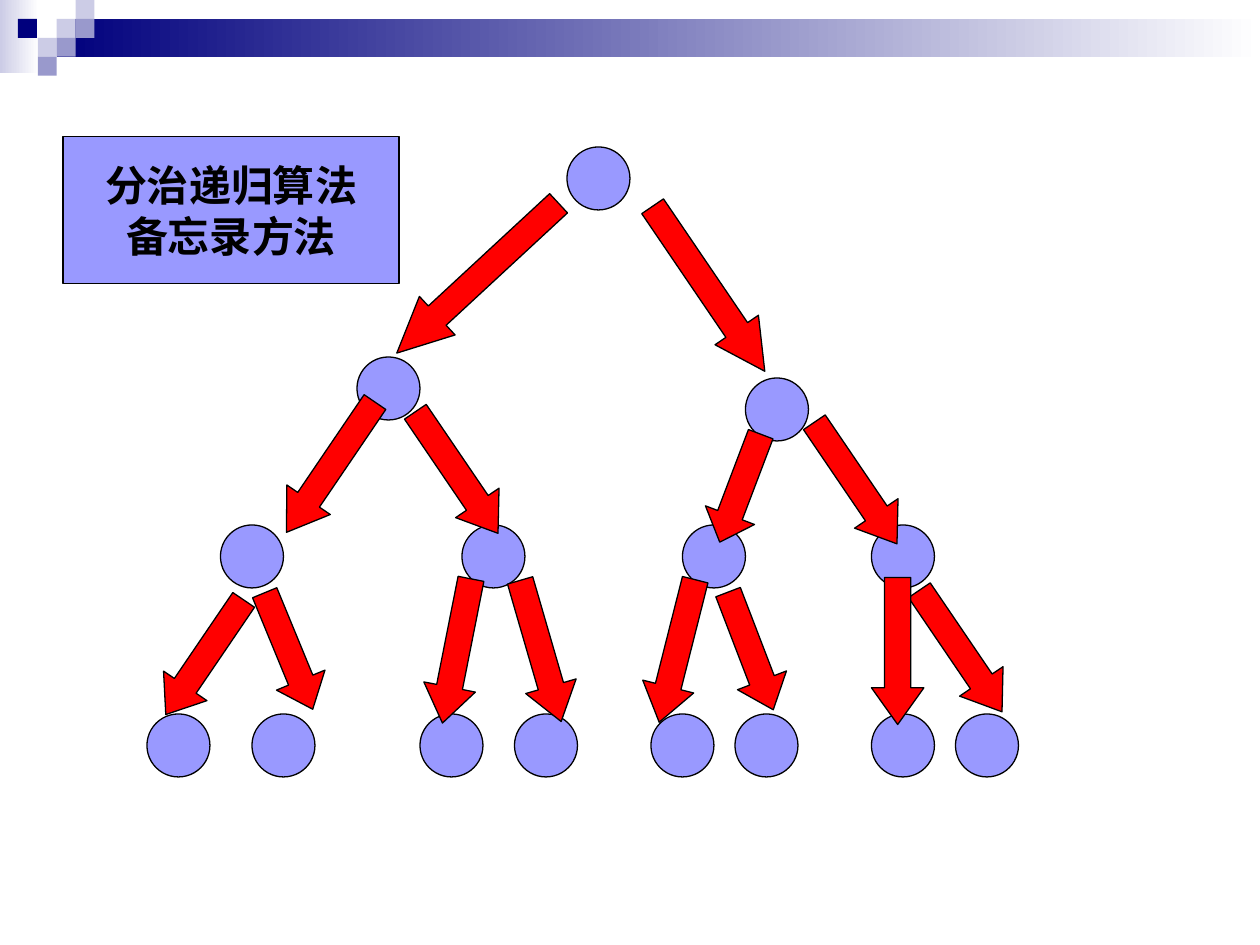
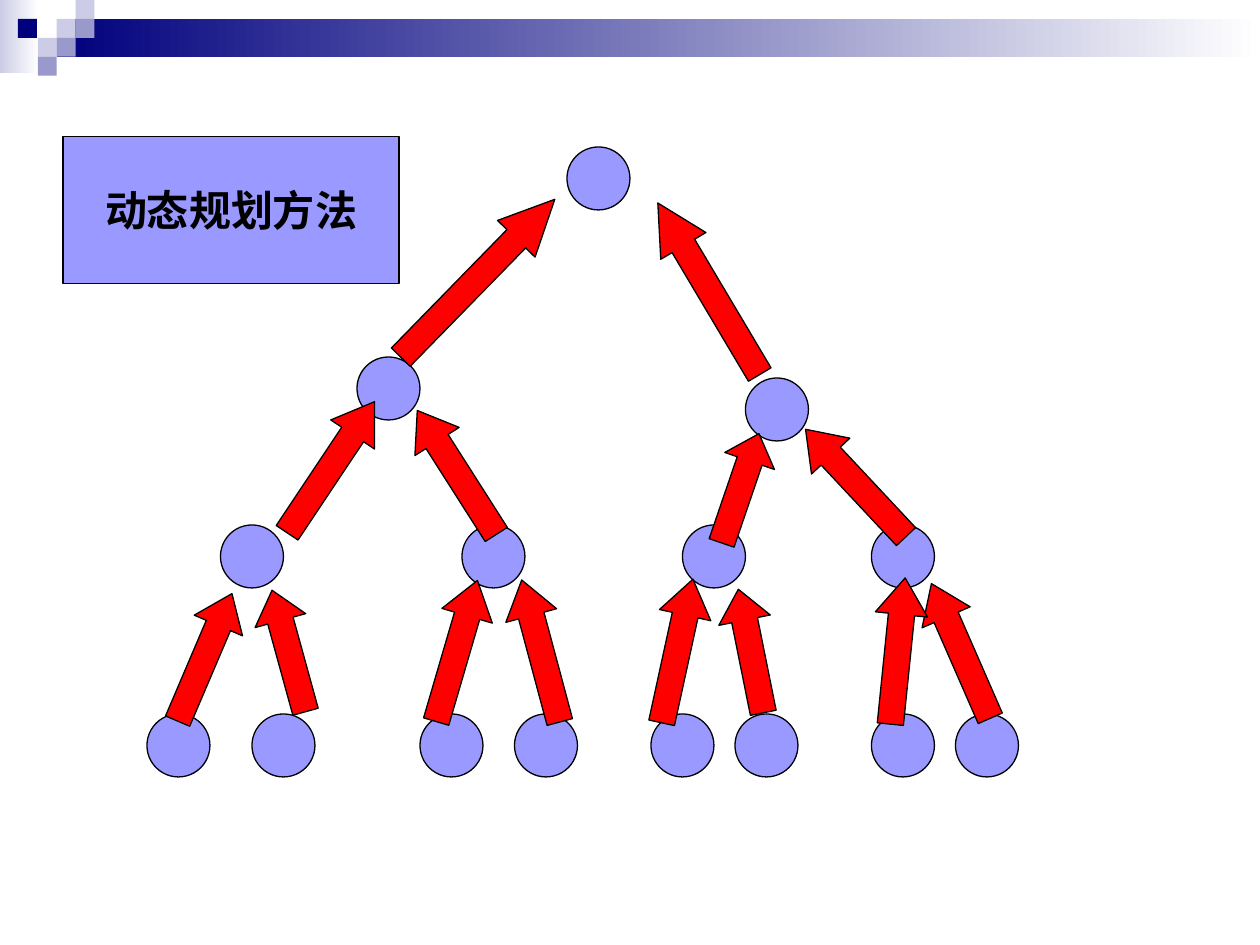
"""Two slides contrasting top-down recursion with bottom-up dynamic programming on a tree."""
import dataclasses

import pptx
import pptx.dml.color
import pptx.enum.shapes
import pptx.enum.text
import pptx.util


@dataclasses.dataclass(frozen=True)
class Theme:
    navy: str = "00007D"
    mid: str = "9999CC"
    pale: str = "CCCCE6"
    white: str = "FFFFFF"
    node: str = "9999FF"
    arrow: str = "FF0000"
    ink: str = "000000"
    font: str = "Arial"
    label_size: int = 24
    line_width: float = 0.75


T = Theme()
MSO = pptx.enum.shapes.MSO_SHAPE
rgb = pptx.dml.color.RGBColor.from_string

prs = pptx.Presentation()
prs.slide_width = pptx.util.Inches(10)
prs.slide_height = pptx.util.Inches(7.5)
CELL = prs.slide_width / 120
TILE = 1.8
NODE = 6
ARROW_WIDTH = 5


def add(s, kind, x, y, w, h, *colors, outline=True):
    sp = s.shapes.add_shape(kind, *(round(v * CELL) for v in (x, y, w, h)))
    sp.shadow.inherit = False
    if len(colors) == 1:
        sp.fill.solid()
        sp.fill.fore_color.rgb = rgb(colors[0])
    else:
        sp.fill.gradient()
        sp.fill.gradient_angle = 0
        for stop, color in zip(sp.fill.gradient_stops, colors):
            stop.color.rgb = rgb(color)
    if outline:
        sp.line.color.rgb = rgb(T.ink)
        sp.line.width = pptx.util.Pt(T.line_width)
    else:
        sp.line.fill.background()
    return sp


tiles = [
    (3, 1, T.pale), (4, 0, T.pale), (4, 1, T.mid), (2, 2, T.pale),
    (0.95, 1, T.navy), (3, 2, T.mid), (2, 3, T.mid),
]
nodes = [
    (54, 14), (34, 34), (71, 36),
    *((x, 50) for x in (21, 44, 65, 83)),
    *((x, 68) for x in (14, 24, 40, 49, 62, 70, 83, 91)),
]
arrows = [
    (43, 16, 21), (29, 37, 15), (17, 56, 13.2), (25, 56, 12), (65, 18, 19),
    (79, 39, 14), (68, 41, 11), (41, 38, 14), (89, 55, 14), (83, 55, 14),
    (69, 56, 12), (62, 55, 14), (49, 55, 14), (41, 55, 14),
]
slides = [
    (["分治递归算法", "备忘录方法"],
     [47.2, 34.2, 34.2, 337.6, 325.8, 325.8, 20.8, 325.8, 325.8, 0, 339, 14.2, 343.8, 11.2]),
    (["动态规划方法"],
     [224.3, 213.7, 203.1, 164.6, 149.3, 136.9, 198.9, 147.5, 156.4, 185.8, 168.6, 192.3, 165, 196.3]),
]

for lines, angles in slides:
    s = prs.slides.add_slide(prs.slide_layouts[6])

    add(s, MSO.RECTANGLE, 0, 0, 3.7, 7, T.pale, T.white, outline=False)
    add(s, MSO.RECTANGLE, 3 * TILE, TILE, 120 - 3 * TILE, 2 * TILE, T.navy, T.white, outline=False)
    for col, row, color in tiles:
        add(s, MSO.RECTANGLE, col * TILE, row * TILE, TILE, TILE, color, outline=False)

    for x, y in nodes:
        add(s, MSO.OVAL, x, y, NODE, NODE, T.node)

    tf = add(s, MSO.RECTANGLE, 6, 13, 32, 14, T.node).text_frame
    tf.word_wrap = False
    tf.vertical_anchor = pptx.enum.text.MSO_ANCHOR.MIDDLE
    tf.text = "\n".join(lines)
    for p in tf.paragraphs:
        p.alignment = pptx.enum.text.PP_ALIGN.CENTER
        p.font.name = T.font
        p.font.size = pptx.util.Pt(T.label_size)
        p.font.bold = True
        p.font.color.rgb = rgb(T.ink)

    for (x, y, length), angle in zip(arrows, angles):
        sp = add(s, MSO.DOWN_ARROW, x, y, ARROW_WIDTH, length, T.arrow)
        sp.adjustments[0] = 0.5
        sp.adjustments[1] = length / 4 / ARROW_WIDTH
        sp.rotation = angle

prs.save("out.pptx")
